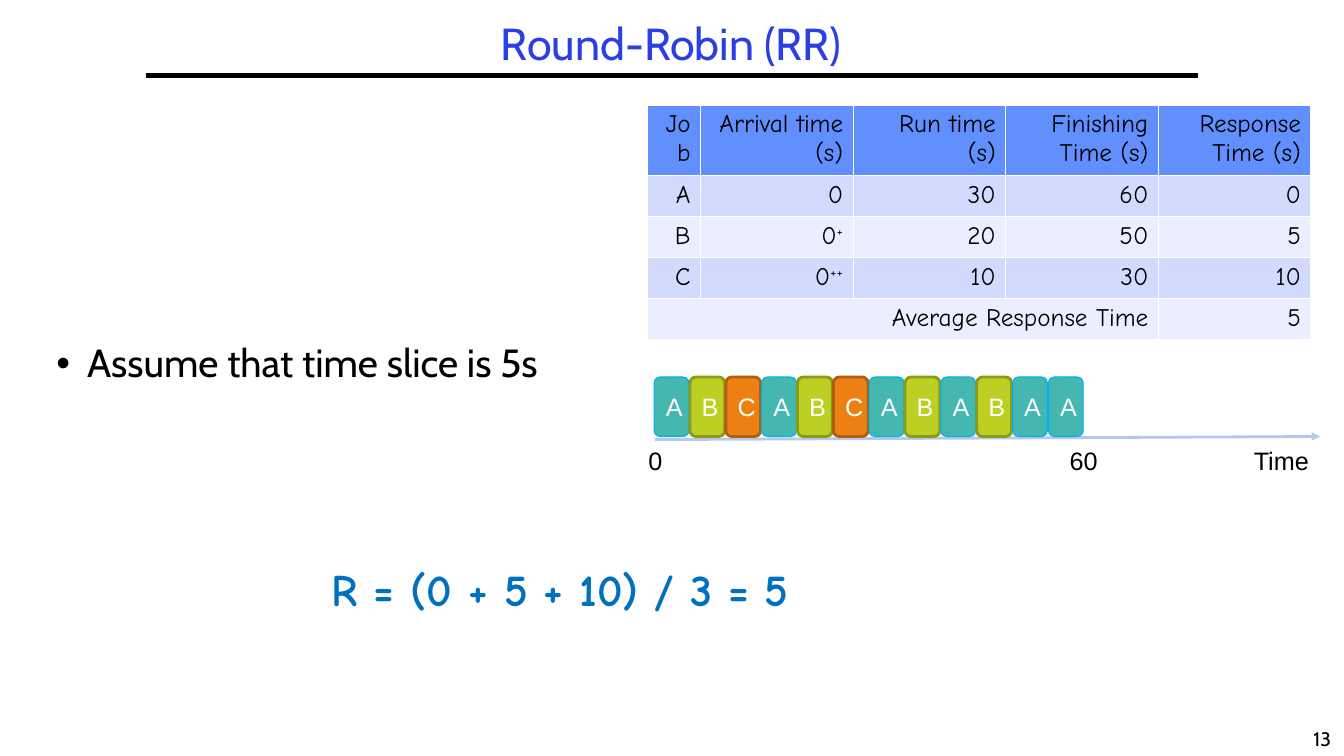
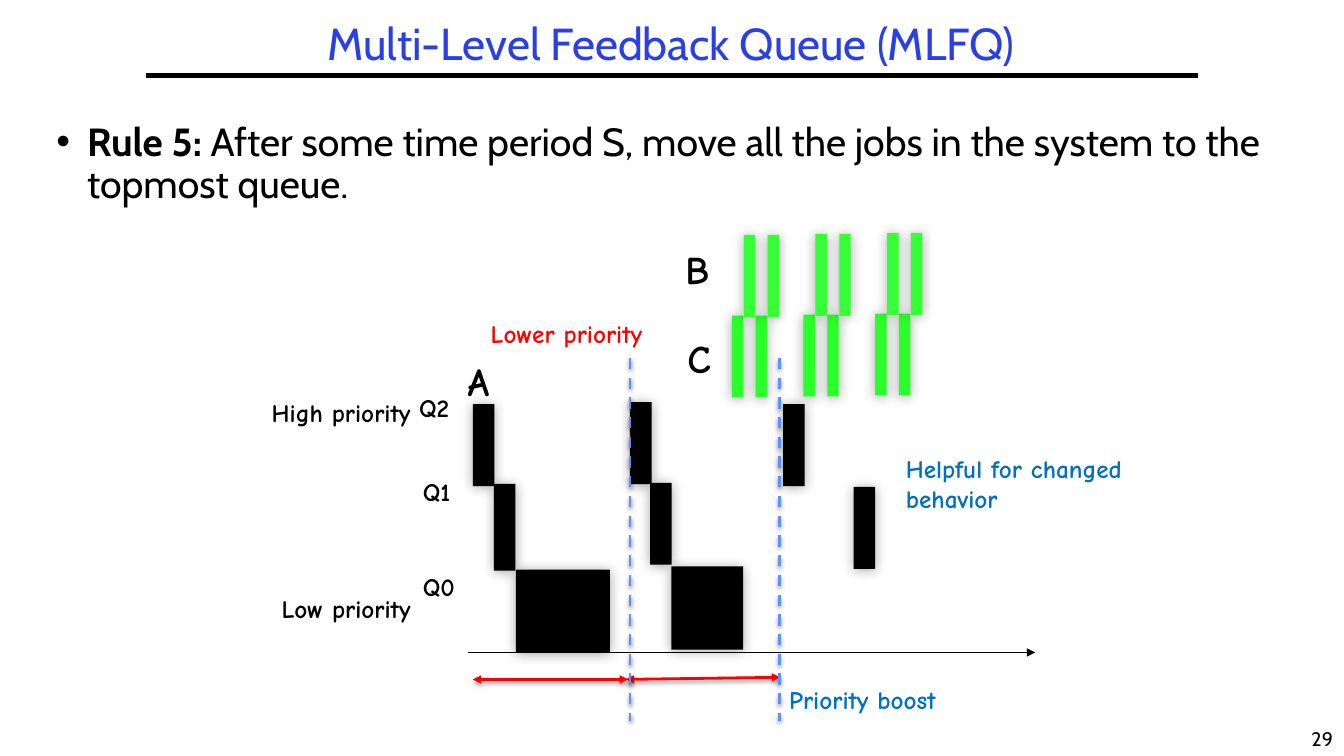
from lxml.etree import SubElement as Sub
from pptx import Presentation
from pptx.dml.color import RGBColor as RGB
from pptx.enum.dml import MSO_LINE as Dash
from pptx.enum.shapes import MSO_CONNECTOR as Link, MSO_SHAPE as Kind
from pptx.enum.text import MSO_ANCHOR as Anchor, MSO_AUTO_SIZE as Fit, PP_ALIGN as Align
from pptx.oxml.ns import qn
from pptx.util import Pt

BLACK = RGB(0x00, 0x00, 0x00)
WHITE = RGB(0xFF, 0xFF, 0xFF)
TITLE = RGB(0x2A, 0x40, 0xE2)
BLUE = RGB(0x00, 0x70, 0xC0)
RED = RGB(0xFF, 0x00, 0x00)
HEAD = RGB(0x61, 0x8F, 0xFD)
DARK = RGB(0xD2, 0xDB, 0xFE)
PALE = RGB(0xEA, 0xEE, 0xFF)
AXIS = RGB(0xB6, 0xC8, 0xE9)
LIME = RGB(0x35, 0xFF, 0x35)
GREEN = RGB(0x2B, 0xFF, 0x2B)
JOBS = {
    "A": (RGB(0x43, 0xB7, 0xB0), RGB(0x00, 0xB0, 0xF0), 0.75),
    "B": (RGB(0xBC, 0xD0, 0x24), RGB(0x8B, 0x9A, 0x1B), 2),
    "C": (RGB(0xED, 0x80, 0x13), RGB(0xAF, 0x5F, 0x0E), 2),
}
SANS, COMIC, PLAIN = "Cabin", "Comic Neue", "Arial"


def write(frame, words, font=COMIC, size=18, color=BLACK, bold=False,
          align=Align.LEFT, space=None):
    para = frame.paragraphs[0]
    para.alignment = align
    para.space_before = Pt(0)
    if space:
        para.line_spacing = space
    runs = [(words, {})] if isinstance(words, str) else words
    for part, extra in runs:
        run = para.add_run()
        run.text = part
        face = run.font
        face.name, face.size = font, Pt(size)
        face.bold = extra.get("bold", bold)
        face.color.rgb = color
        if "base" in extra:
            run._r.get_or_add_rPr().set("baseline", str(extra["base"]))
    return para


def label(slide, x, y, w, h, words, wrap=False, **form):
    frame = slide.shapes.add_textbox(Pt(x), Pt(y), Pt(w), Pt(h)).text_frame
    frame.word_wrap = wrap
    write(frame, words, **form)


def cast(effects, blur, dist, alpha):
    shade = Sub(effects, qn("a:outerShdw"), blurRad=str(Pt(blur)),
                dist=str(Pt(dist)), dir="5400000", rotWithShape="0")
    tint = Sub(shade, qn("a:srgbClr"), val=str(BLACK))
    Sub(tint, qn("a:alpha"), val=str(alpha * 1000))


def line(slide, x1, y1, x2, y2, color, width, ends=(), dash=None, shade=False):
    link = slide.shapes.add_connector(Link.STRAIGHT, Pt(x1), Pt(y1), Pt(x2), Pt(y2))
    link.line.color.rgb = color
    link.line.width = Pt(width)
    if dash:
        link.line.dash_style = dash
    for end in ends:
        Sub(link.line._get_or_add_ln(), qn(f"a:{end}"), type="triangle")
    effects = Sub(link._element.spPr, qn("a:effectLst"))
    if shade:
        cast(effects, 3.1, 1.6, 38)


def block(slide, kind, x, y, w, h, fill):
    shape = slide.shapes.add_shape(kind, Pt(x), Pt(y), Pt(w), Pt(h))
    shape.shadow.inherit = False
    shape.fill.solid()
    shape.fill.fore_color.rgb = fill
    shape.line.fill.background()
    return shape


def bar(slide, x, y, w, h, fill=BLACK):
    shape = block(slide, Kind.RECTANGLE, x, y, w, h, fill)
    cast(shape._element.spPr.find(qn("a:effectLst")), 9, 1, 35)


def fill_holder(holder, box, words, anchor, **form):
    holder.left, holder.top, holder.width, holder.height = map(Pt, box)
    frame = holder.text_frame
    frame.auto_size = Fit.NONE
    frame.word_wrap = True
    frame.vertical_anchor = anchor
    return write(frame, words, font=SANS, space=0.9, **form)


def start(deck, title, page, words, box):
    slide = deck.slides.add_slide(deck.slide_layouts[1])
    head, body = slide.placeholders
    fill_holder(head, (33, 12, 893, 42), title, Anchor.MIDDLE,
                size=32, color=TITLE, align=Align.CENTER)
    props = fill_holder(body, box, words, Anchor.TOP, size=28)._p.get_or_add_pPr()
    props.set("marL", str(Pt(22)))
    props.set("indent", str(Pt(-22)))
    Sub(props, qn("a:buChar"), char="•")
    line(slide, 104, 54, 856, 54, BLACK, 3)
    label(slide, 929, 516, 31, 24, page, font=SANS, size=14, align=Align.CENTER)
    return slide


def table(slide, x, y, w, rows):
    first, top, row = 38, 50, 29.3
    cols = len(rows[0])
    grid = slide.shapes.add_table(len(rows), cols, Pt(x), Pt(y), Pt(w),
                                  Pt(top + row * (len(rows) - 1))).table
    for c, col in enumerate(grid.columns):
        col.width = Pt((w - first) / (cols - 1)) if c else Pt(first)
    for r, line_of in enumerate(rows):
        grid.rows[r].height = Pt(row) if r else Pt(top)
        for c, words in enumerate(line_of):
            cell = grid.cell(r, c)
            props = cell._tc.get_or_add_tcPr()
            for side in "LRTB":
                edge = Sub(props, qn(f"a:ln{side}"), w=str(Pt(1)))
                Sub(Sub(edge, qn("a:solidFill")), qn("a:srgbClr"), val=str(WHITE))
            cell.fill.solid()
            cell.fill.fore_color.rgb = (DARK if r % 2 else PALE) if r else HEAD
            if words:
                write(cell.text_frame, words, align=Align.RIGHT)
    last = len(rows) - 1
    grid.cell(last, 0).merge(grid.cell(last, cols - 2))


def slices(slide, x, y, order):
    step = 25.6
    line(slide, x + 12, y + 49, x + 487, y + 46.8, AXIS, 2, ["tailEnd"])
    for i, job in enumerate(order):
        fill, edge, width = JOBS[job]
        shape = block(slide, Kind.ROUNDED_RECTANGLE,
                      x + 11.3 + step * i, y + 4.3, 24.8, 42.5, fill)
        shape.line.color.rgb = edge
        shape.line.width = Pt(width)
        shape.text_frame.vertical_anchor = Anchor.MIDDLE
        write(shape.text_frame, job, font=PLAIN, color=WHITE, align=Align.CENTER)
    for dx, w, words in ((0, 24, "0"), (301, 35, "60"), (432.5, 54, "Time")):
        label(slide, x + dx, y + 49.6, w, 29, words, font=PLAIN)


def queues(slide, x, y):
    for dx, dy, w, words in (
        (7, 120, 127, "High priority"), (14, 260.5, 120, "Low priority"),
        (112.3, 117, 42, "Q2"), (115, 177, 42, "Q1"), (115, 244.5, 42, "Q0"),
    ):
        label(slide, x + dx, y + dy, w, 29, words, bold=True)
    for dx, dy, job in ((147, 92, "A"), (302.5, 11.5, "B"), (304, 75.5, "C")):
        label(slide, x + dx, y + dy, 35, 41, job, size=28, bold=True)
    line(slide, x + 154, y + 306, x + 559.5, y + 306, BLACK, 0.75, ["tailEnd"])

    for dx, dy, w, h in (
        (157.7, 128.7, 15.4, 58.5), (172.8, 185.6, 15.4, 62), (188.6, 246.8, 67, 59.5),
        (270, 127.3, 15.4, 58.5), (284.4, 184.9, 15.4, 58.5), (299.5, 244.6, 51.3, 59.5),
        (379.4, 128.7, 15.4, 58.5), (429.8, 187.8, 15.4, 58.5),
    ):
        bar(slide, x + dx, y + dy, w, h)
    for fill, dx, dy in ((GREEN, 342.7, 65.4), (LIME, 351.3, 7.8)):
        for group in range(3):
            for pair in range(2):
                bar(slide, x + dx + 51.2 * group + 17 * pair,
                    y + dy - 0.7 * group, 8.2, 58.5, fill)

    for x1, x2, y2 in ((157.7, 268.6, 325.3), (267, 377.3, 323.8)):
        line(slide, x + x1, y + 325.3, x + x2, y + y2, RED, 2,
             ["headEnd", "tailEnd"], shade=True)
    for dx in (270, 376.6):
        line(slide, x + dx, y + 95.6, x + dx, y + 354.8, HEAD, 2,
             dash=Dash.DASH, shade=True)
    label(slide, x + 163.4, y + 64, 139, 29, "Lower priority", color=RED, bold=True)
    for dx, dy, w, words in ((376.6, 325.3, 133, "Priority boost"),
                             (460, 160.4, 174, "Helpful for changed behavior")):
        label(slide, x + dx, y + dy, w, 51, words, wrap=True, color=BLUE, bold=True)


def robin(deck):
    slide = start(deck, "Round-Robin (RR)", "13",
                  "Assume that time slice is 5s", (33, 242, 420, 45))
    label(slide, 230, 397.5, 417, 46, "R = (0 + 5 + 10) / 3 = 5",
          size=32, color=BLUE, bold=True)
    plus = {"base": 30000}
    table(slide, 462.5, 75, 474, [
        ["Job", "Arrival time (s)", "Run time (s)", "Finishing Time (s)",
         "Response Time (s)"],
        ["A", "0", "30", "60", "0"],
        ["B", [("0", {}), ("+", plus)], "20", "50", "5"],
        ["C", [("0", {}), ("++", plus)], "10", "30", "10"],
        ["Average Response Time", "", "", "", "5"],
    ])
    slices(slide, 456, 265, "ABCABCABABAA")


def levels(deck):
    words = [("Rule 5:", {"bold": True}),
             (" After some time period S, move all the jobs in the system "
              "to the topmost queue.", {})]
    slide = start(deck, "Multi-Level Feedback Queue (MLFQ)", "29",
                  words, (33, 84, 893, 76))
    queues(slide, 180, 160)


def main():
    deck = Presentation()
    deck.slide_width, deck.slide_height = Pt(960), Pt(540)
    robin(deck)
    levels(deck)
    deck.save("out.pptx")


if __name__ == "__main__":
    main()
